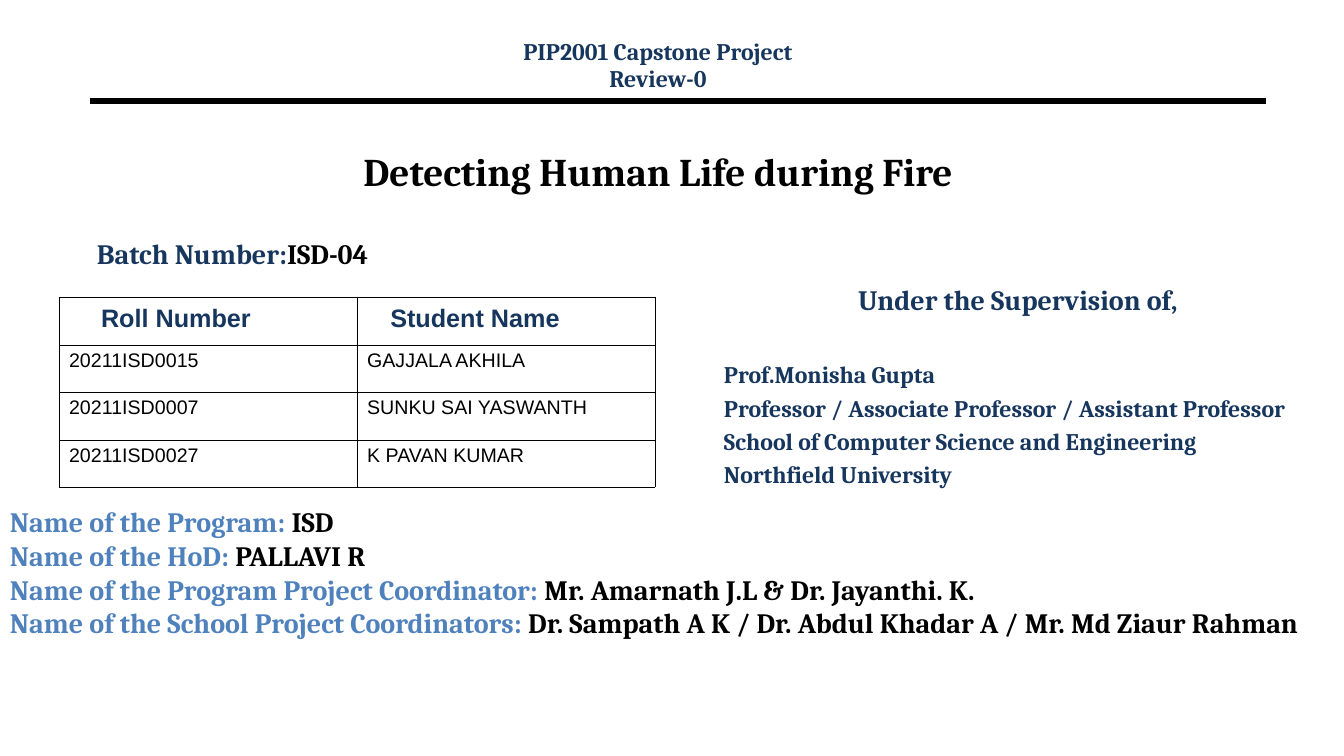
"""Build the title slide of a capstone project review."""
from dataclasses import dataclass

import lxml.etree
import pptx
import pptx.dml.color
import pptx.enum.shapes
import pptx.enum.text
import pptx.oxml.ns
import pptx.util

ALIGN = pptx.enum.text.PP_ALIGN
ANCHOR = pptx.enum.text.MSO_ANCHOR
COLORS = {"black": "000000", "navy": "17365D", "blue": "4F81BD"}


def px(n: int) -> int:
    """Turn px into EMU."""
    return round(n * 914400 / 100.8)


def rgb(name: str) -> pptx.dml.color.RGBColor:
    """Look up a colour."""
    return pptx.dml.color.RGBColor.from_string(COLORS[name])


@dataclass(frozen=True)
class Line:
    """One paragraph: a label, and an optional value in black."""
    label: str
    value: str = ""
    size: float = 20
    color: str = "navy"
    align: ALIGN = ALIGN.LEFT
    before: float = 0
    spacing: float = 1.0


@dataclass(frozen=True)
class Box:
    """A text box in px with its paragraphs."""
    x: int
    y: int
    w: int
    h: int
    lines: tuple[Line, ...]
    anchor: ANCHOR = ANCHOR.TOP


@dataclass(frozen=True)
class Grid:
    """A table in px with its cell texts and text style."""
    x: int
    y: int
    cols: tuple[int, ...]
    heights: tuple[int, ...]
    rows: tuple[tuple[str, ...], ...]
    size: float
    color: str
    bold: bool
    align: ALIGN
    anchor: ANCHOR
    border: float


BOXES = (
    Box(87, 118, 1142, 106, (
        Line("Detecting Human Life during Fire", size=28, color="black", align=ALIGN.CENTER),
    ), ANCHOR.MIDDLE),
    Box(87, 232, 437, 60, (Line("Batch Number:", "ISD-04"),)),
    Box(714, 278, 608, 223, (
        Line("Under the Supervision of,", align=ALIGN.CENTER),
        Line("Prof.Monisha Gupta", size=17, before=31),
        Line("Professor / Associate Professor / Assistant Professor", size=17, before=3.4),
        Line("School of Computer Science and Engineering", size=17, before=3.4),
        Line("Northfield University", size=17, before=3.4),
    )),
    Box(439, 37, 438, 60, (
        Line("PIP2001 Capstone Project", size=17, align=ALIGN.CENTER, spacing=0.8),
        Line("Review-0", size=17, align=ALIGN.CENTER, before=3.1, spacing=0.8),
    )),
    Box(0, 500, 1344, 172, (
        Line("Name of the Program: ", "ISD", color="blue"),
        Line("Name of the HoD: ", "PALLAVI R", color="blue"),
        Line("Name of the Program Project Coordinator: ",
             "Mr. Amarnath J.L & Dr. Jayanthi. K.", color="blue"),
        Line("Name of the School Project Coordinators: ",
             "Dr. Sampath A K / Dr. Abdul Khadar A / Mr. Md Ziaur Rahman", color="blue"),
    )),
)
EMPTY_ROW = ("", "")
HEADINGS = Grid(61, 300, (230, 368), (33,) * 6,
                (("Roll Number", "Student Name"), *(EMPTY_ROW,) * 5),
                18, "navy", True, ALIGN.CENTER, ANCHOR.MIDDLE, 0)
STUDENTS = Grid(59, 297, (298, 298), (48, 47, 48, 47), (
    EMPTY_ROW,
    ("20211ISD0015", "GAJJALA AKHILA"),
    ("20211ISD0007", "SUNKU SAI YASWANTH"),
    ("20211ISD0027", "K PAVAN KUMAR"),
), 14, "black", False, ALIGN.LEFT, ANCHOR.TOP, 0.5)


def style(r, size: float, color: str, font: str = "Cambria", bold: bool = True) -> None:
    """Format one run."""
    r.font.size = pptx.util.Pt(size)
    r.font.name = font
    r.font.bold = bold
    r.font.color.rgb = rgb(color)


def add_box(s, box: Box) -> None:
    """Draw one text box."""
    sp = s.shapes.add_textbox(px(box.x), px(box.y), px(box.w), px(box.h))
    tf = sp.text_frame
    tf.word_wrap = True
    tf.vertical_anchor = box.anchor
    tf.text = "\n".join(line.label for line in box.lines)
    for p, line in zip(tf.paragraphs, box.lines):
        p.alignment = line.align
        p.space_before = pptx.util.Pt(line.before)
        p.line_spacing = line.spacing
        style(p.runs[0], line.size, line.color)
        if line.value:
            r = p.add_run()
            r.text = line.value
            style(r, line.size, "black")


def add_rule(s) -> None:
    """Draw the heavy line under the heading."""
    cx = s.shapes.add_connector(
        pptx.enum.shapes.MSO_CONNECTOR.STRAIGHT, px(90), px(101), px(1266), px(101))
    cx.line.color.rgb = rgb("black")
    cx.line.width = pptx.util.Pt(4.5)
    lxml.etree.SubElement(cx._element.spPr, pptx.oxml.ns.qn("a:effectLst"))


def add_borders(cell, width: float) -> None:
    """Give a cell four black edges, or none when the width is 0."""
    qn = pptx.oxml.ns.qn
    tc_pr = cell._tc.get_or_add_tcPr()
    for i, side in enumerate(("lnL", "lnR", "lnT", "lnB")):
        ln = lxml.etree.Element(qn(f"a:{side}"), w=str(pptx.util.Pt(width)))
        if width:
            fill = lxml.etree.SubElement(ln, qn("a:solidFill"))
            lxml.etree.SubElement(fill, qn("a:srgbClr"), val=COLORS["black"])
        else:
            lxml.etree.SubElement(ln, qn("a:noFill"))
        tc_pr.insert(i, ln)


def add_grid(s, grid: Grid) -> None:
    """Draw one table without fills."""
    frame = s.shapes.add_table(
        len(grid.rows), len(grid.cols), px(grid.x), px(grid.y),
        px(sum(grid.cols)), px(sum(grid.heights)))
    table = frame.table
    table.first_row = table.horz_banding = False
    for col, width in zip(table.columns, grid.cols):
        col.width = px(width)
    for i, (row, height) in enumerate(zip(grid.rows, grid.heights)):
        table.rows[i].height = px(height)
        for j, text in enumerate(row):
            cell = table.cell(i, j)
            cell.fill.background()
            cell.vertical_anchor = grid.anchor
            add_borders(cell, grid.border)
            cell.text_frame.text = text
            p = cell.text_frame.paragraphs[0]
            p.alignment = grid.align
            for r in p.runs:
                style(r, grid.size, grid.color, "Arial", grid.bold)


def main() -> None:
    """Build and save the slide."""
    prs = pptx.Presentation()
    prs.slide_width, prs.slide_height = px(1344), px(756)
    s = prs.slides.add_slide(prs.slide_layouts[6])
    add_rule(s)
    add_grid(s, HEADINGS)
    for box in BOXES:
        add_box(s, box)
    add_grid(s, STUDENTS)
    prs.save("out.pptx")


if __name__ == "__main__":
    main()
